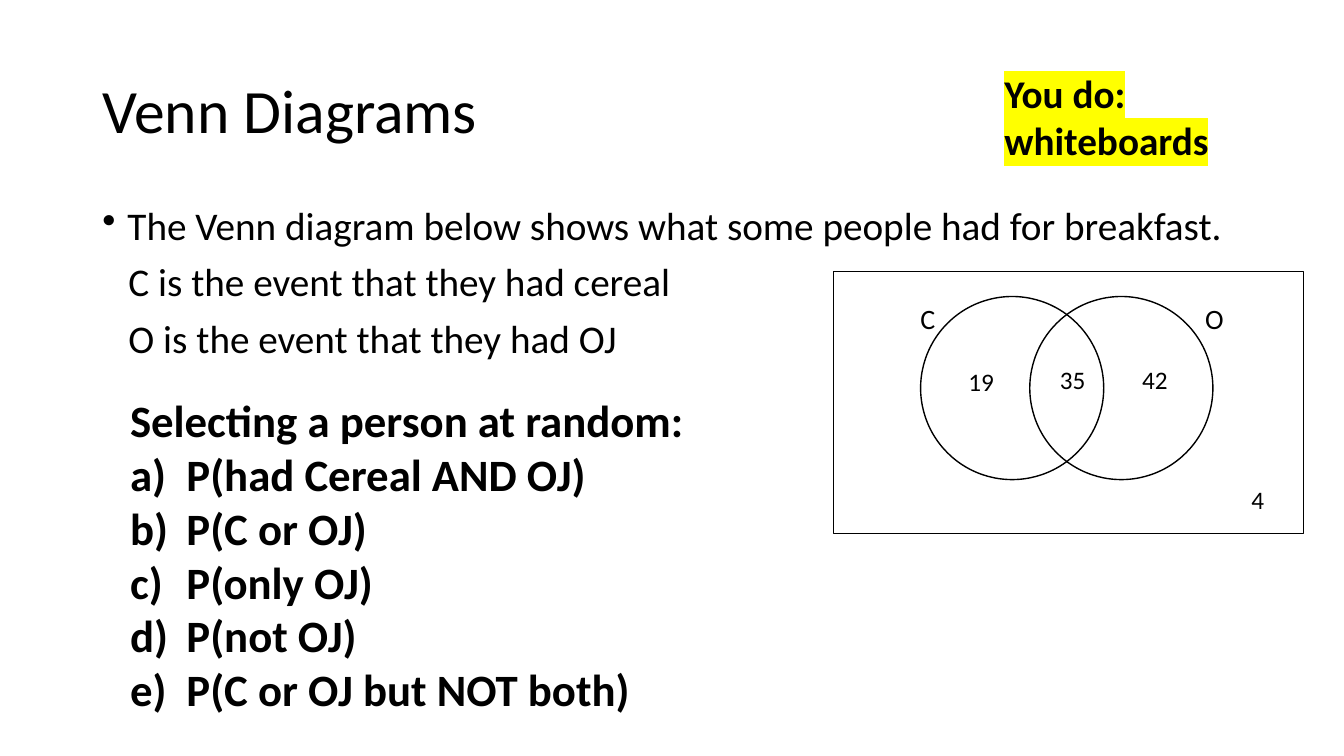
from lxml import etree
from pptx import Presentation
from pptx import util as u
from pptx.dml.color import RGBColor
from pptx.enum import shapes, text
from pptx.oxml.ns import qn

COLORS = {"ink": "000000", "highlight": "FFFF00"}
FONT = "Calibri"
COLUMNS, ROWS = 160, 90
CELL = u.Inches(1) / 12

presentation = Presentation()
presentation.slide_width = round(COLUMNS * CELL)
presentation.slide_height = round(ROWS * CELL)
slide = presentation.slides.add_slide(presentation.slide_layouts[5])


def grid(*cells):
    return [round(cell * CELL) for cell in cells]


def write(shape, lines, size, bold=False, spacing=1.0, gap=0, bullets=(), indent=0):
    """Fill a shape with paragraphs; bullets holds one (tag, attribute, value) or None per line."""
    frame = shape.text_frame
    frame.word_wrap = True
    for index, line in enumerate(lines):
        paragraph = frame.paragraphs[0] if index == 0 else frame.add_paragraph()
        paragraph.alignment = text.PP_ALIGN.LEFT
        paragraph.line_spacing = spacing
        paragraph.space_before = u.Pt(gap if index else 0)
        bullet = bullets[index] if bullets else None
        if bullet:
            tag, attribute, value = bullet
            properties = paragraph._p.get_or_add_pPr()
            properties.set("marL", str(u.Inches(indent)))
            properties.set("indent", str(-u.Inches(indent)))
            etree.SubElement(properties, qn(tag)).set(attribute, value)
        run = paragraph.add_run()
        run.text = line
        for name, setting in {"name": FONT, "size": u.Pt(size), "bold": bold}.items():
            setattr(run.font, name, setting)
        run.font.color.rgb = RGBColor.from_string(COLORS["ink"])
    return frame


# Title
title = slide.shapes.title
title.left, title.top, title.width, title.height = grid(11, 4.8, 138, 17.4)
write(title, ["Venn Diagrams"], 44, spacing=0.9).vertical_anchor = text.MSO_ANCHOR.MIDDLE

# Introduction, with the event definitions aligned to the bulleted text
introduction = slide.shapes.add_textbox(*grid(11, 24, 138, 21))
events = [
    "The Venn diagram below shows what some people had for breakfast.",
    "C is the event that they had cereal",
    "O is the event that they had OJ",
]
frame = write(introduction, events, 28, spacing=0.9, gap=10,
              bullets=[("a:buChar", "char", "•"), None, None], indent=0.25)
for paragraph in frame.paragraphs[1:]:
    paragraph._p.get_or_add_pPr().set("marL", str(u.Inches(0.26)))

# Venn diagram: sample space and two overlapping circles
outlines = [
    (shapes.MSO_SHAPE.RECTANGLE, (99.2, 32.3, 56, 31.2)),
    (shapes.MSO_SHAPE.OVAL, (109.6, 35.3, 21.8, 21.8)),
    (shapes.MSO_SHAPE.OVAL, (122.6, 35.3, 21.8, 21.8)),
]
for kind, cells in outlines:
    outline = slide.shapes.add_shape(kind, *grid(*cells))
    outline.shadow.inherit = False
    outline.fill.background()
    outline.line.color.rgb = RGBColor.from_string(COLORS["ink"])
    outline.line.width = u.Pt(1)

# Set names and counts
labels = [
    ("C", 108.4, 35.3, 20),
    ("O", 142.3, 35.3, 20),
    ("19", 114.1, 43, 18),
    ("35", 125, 42.8, 18),
    ("42", 134.8, 42.8, 18),
    ("4", 147.8, 57.1, 18),
]
for label, column, row, size in labels:
    write(slide.shapes.add_textbox(*grid(column, row, 6.5, 5)), [label], size)

# Questions
questions = [
    "Selecting a person at random:",
    "P(had Cereal AND OJ)",
    "P(C or OJ)",
    "P(only OJ)",
    "P(not OJ)",
    "P(C or OJ but NOT both)",
]
lettering = [None] + [("a:buAutoNum", "type", "alphaLcParenR")] * (len(questions) - 1)
write(slide.shapes.add_textbox(*grid(14.3, 46.2, 69.7, 40)), questions, 32,
      bold=True, bullets=lettering, indent=0.56)

# Highlighted task note
note = slide.shapes.add_textbox(*grid(118.4, 7.7, 28.2, 12.5))
run = write(note, ["You do: whiteboards"], 28, bold=True).paragraphs[0].runs[0]
highlight = etree.Element(qn("a:highlight"))
etree.SubElement(highlight, qn("a:srgbClr")).set("val", COLORS["highlight"])
run._r.rPr.find(qn("a:latin")).addprevious(highlight)

presentation.save("out.pptx")
